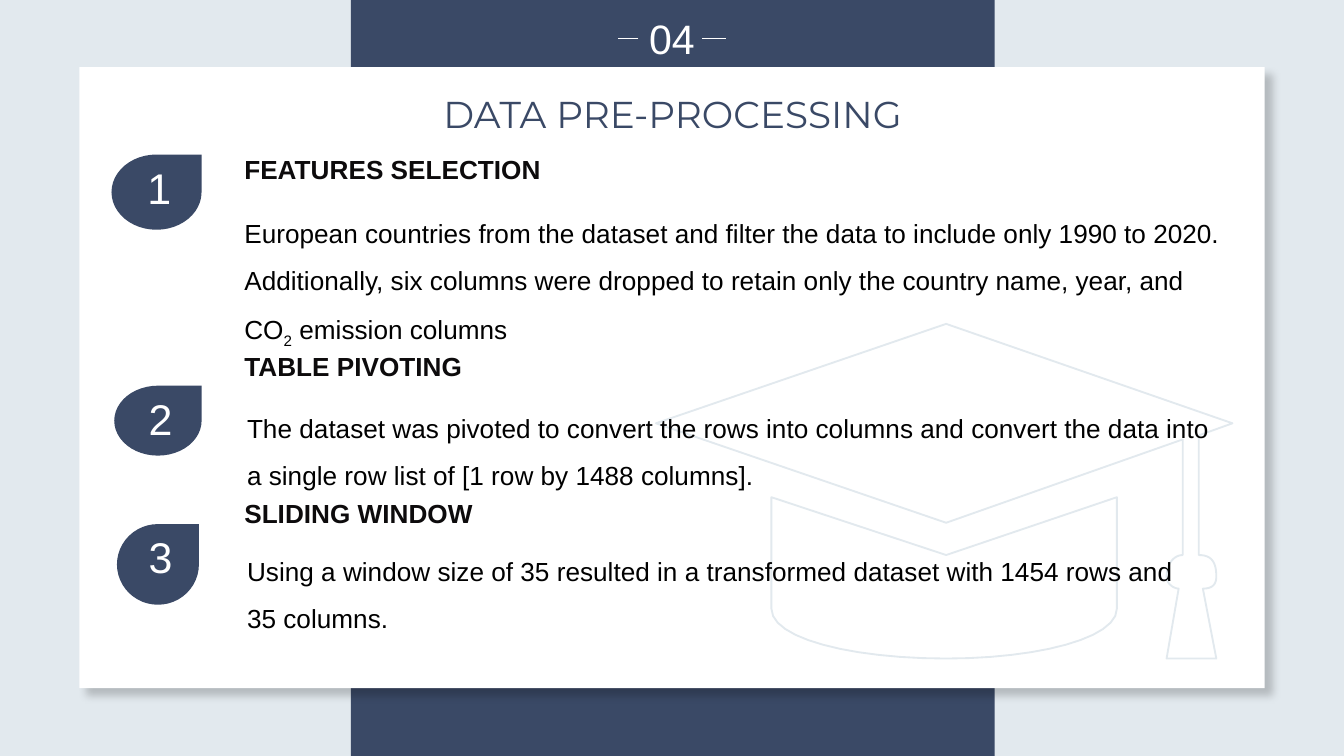
from typing import NamedTuple

from lxml import etree
from pptx import Presentation
from pptx import util as u
from pptx.dml.color import RGBColor
from pptx.enum import shapes, text
from pptx.oxml import ns

PAGE_WIDTH = 10
PAGE_HEIGHT = PAGE_WIDTH * 9 / 16

NAVY = RGBColor(0x3A, 0x49, 0x66)
MIST = RGBColor(0xE2, 0xE9, 0xEE)
WHITE = RGBColor(0xFF, 0xFF, 0xFF)
INK = RGBColor(0x0D, 0x0B, 0x0C)
BLACK = RGBColor(0, 0, 0)

NUMBER = dict(name="Arial", size=u.Pt(23), color=WHITE)
PAGE_NUMBER = dict(name="Arial", size=u.Pt(22), color=WHITE)
TITLE = dict(name="Montserrat", size=u.Pt(20), color=NAVY)
HEADING = dict(name="Arial", size=u.Pt(14), color=INK, bold=True)
BODY = dict(name="Arial", size=u.Pt(14), color=BLACK)

CENTER = text.PP_ALIGN.CENTER
LEFT = text.PP_ALIGN.LEFT


class Area(NamedTuple):
    left: float
    top: float
    width: float
    height: float

    def lengths(self) -> list[u.Length]:
        return [u.Inches(value) for value in self]


class Span(NamedTuple):
    words: str
    subscript: bool = False


class Step(NamedTuple):
    badge: Area
    number_height: float
    heading_area: Area
    body_area: Area
    heading: str
    body: list[Span]


STEPS = [
    Step(Area(0.83, 1.15, 0.67, 0.56), 0.6,
         Area(1.72, 1.09, 5.43, 0.34), Area(1.72, 1.45, 7.54, 1.12),
         "FEATURES SELECTION",
         [Span("European countries from the dataset and filter the data to include only "
               "1990 to 2020. Additionally, six columns were dropped to retain only the "
               "country name, year, and CO"),
          Span("2", subscript=True), Span(" emission columns")]),
    Step(Area(0.85, 2.87, 0.65, 0.52), 0.44,
         Area(1.72, 2.56, 4.84, 0.34), Area(1.74, 2.9, 7.43, 0.76),
         "TABLE PIVOTING",
         [Span("The dataset was pivoted to convert the rows into columns and convert the "
               "data into a single row list of [1 row by 1488 columns].")]),
    Step(Area(0.87, 3.9, 0.61, 0.6), 0.51,
         Area(1.72, 3.65, 4.97, 0.34), Area(1.74, 3.97, 7.33, 0.76),
         "SLIDING WINDOW",
         [Span("Using a window size of 35 resulted in a transformed dataset with 1454 "
               "rows and 35 columns.")]),
]

# Two numbers are a corner; six are the two handles and the end of a curve.
BOARD_AND_TASSEL = [
    (9.05, 4.29), (9.05, 4.19, 9.02, 4.13, 8.92, 4.13), (8.92, 3.24), (9.17, 3.15),
    (7.04, 2.41), (4.88, 3.15), (7.04, 3.89), (8.8, 3.27), (8.8, 4.13),
    (8.74, 4.13, 8.68, 4.19, 8.68, 4.29), (8.68, 4.35, 8.74, 4.38, 8.77, 4.38),
    (8.68, 4.9), (9.05, 4.9), (8.95, 4.38), (9.02, 4.38, 9.05, 4.35, 9.05, 4.29),
]
CAP_BASE = [
    (5.74, 3.7), (5.74, 4.53), (5.74, 4.75, 6.33, 4.9, 7.04, 4.9),
    (7.72, 4.9, 8.31, 4.75, 8.31, 4.53), (8.31, 3.7), (7.04, 4.13), (5.74, 3.7),
]


def add_filled(page, kind, area: Area, color: RGBColor):
    box = page.shapes.add_shape(kind, *area.lengths())
    box.shadow.inherit = False
    box.fill.solid()
    box.fill.fore_color.rgb = color
    box.line.fill.background()
    return box


def add_drop_shadow(box) -> None:
    """Cast a soft shadow to the lower right."""
    effects = box._element.spPr.find(ns.qn("a:effectLst"))
    shadow = etree.SubElement(effects, ns.qn("a:outerShdw"), blurRad=str(u.Pt(4)),
                              dist=str(u.Pt(6)), dir=str(45 * 60000), algn="tl",
                              rotWithShape="0")
    color = etree.SubElement(shadow, ns.qn("a:srgbClr"), val=str(BLACK))
    etree.SubElement(color, ns.qn("a:alpha"), val="20000")


def add_text(page, area: Area, spans: list[Span], style: dict,
             align=LEFT, spacing: float = 1.0) -> None:
    box = page.shapes.add_textbox(*area.lengths())
    box.text_frame.word_wrap = True
    para = box.text_frame.paragraphs[0]
    para.alignment = align
    para.line_spacing = spacing
    for words, subscript in spans:
        span = para.add_run()
        span.text = words
        for key, value in style.items():
            if key == "color":
                span.font.color.rgb = value
            else:
                setattr(span.font, key, value)
        if subscript:
            span.font._element.set("baseline", "-25000")


def add_dash(page, start: float, end: float, height: float) -> None:
    dash = page.shapes.add_connector(shapes.MSO_CONNECTOR.STRAIGHT, u.Inches(start),
                                     u.Inches(height), u.Inches(end), u.Inches(height))
    dash.line.color.rgb = WHITE
    dash.line.width = u.Pt(0.5)
    etree.SubElement(dash._element.spPr, ns.qn("a:effectLst"))


def trace(outline: list[tuple], pieces: int = 12) -> list[tuple]:
    """Turn corners and Bézier curves into a list of points."""
    points = [outline[0]]
    for part in outline[1:]:
        if len(part) == 2:
            points.append(part)
            continue
        knots = [points[-1], part[:2], part[2:4], part[4:]]
        for piece in range(1, pieces + 1):
            t = piece / pieces
            weights = ((1 - t) ** 3, 3 * t * (1 - t) ** 2, 3 * t * t * (1 - t), t ** 3)
            points.append(tuple(sum(weight * knot[axis] for weight, knot in zip(weights, knots))
                                for axis in (0, 1)))
    return [(u.Inches(x), u.Inches(y)) for x, y in points]


def add_graduation_cap(page) -> None:
    board, base = trace(BOARD_AND_TASSEL), trace(CAP_BASE)
    builder = page.shapes.build_freeform(*board[0])
    builder.add_line_segments(board[1:])
    builder.move_to(*base[0])
    builder.add_line_segments(base[1:])
    cap = builder.convert_to_shape()
    cap.shadow.inherit = False
    cap.fill.background()
    cap.line.color.rgb = MIST
    cap.line.width = u.Pt(1)


def add_step(page, number: int, step: Step) -> None:
    badge = step.badge
    add_filled(page, shapes.MSO_SHAPE.TEAR, badge, NAVY)
    add_text(page, Area(badge.left + 0.02, badge.top, badge.width, step.number_height),
             [Span(str(number))], NUMBER, CENTER)
    add_text(page, step.heading_area, [Span(step.heading)], HEADING)
    add_text(page, step.body_area, step.body, BODY, spacing=1.5)


def main() -> None:
    deck = Presentation()
    deck.slide_width, deck.slide_height = u.Inches(PAGE_WIDTH), u.Inches(PAGE_HEIGHT)
    page = deck.slides.add_slide(deck.slide_layouts[6])
    page.background.fill.solid()
    page.background.fill.fore_color.rgb = MIST

    rectangle = shapes.MSO_SHAPE.RECTANGLE
    add_filled(page, rectangle, Area(2.61, 0, 4.79, PAGE_HEIGHT), NAVY)
    add_drop_shadow(add_filled(page, rectangle, Area(0.59, 0.5, 8.82, 4.62), WHITE))
    add_graduation_cap(page)

    for start, end in ((4.75, 4.6), (5.4, 5.22)):
        add_dash(page, start, end, 0.29)
    add_text(page, Area(4.71, 0.05, 0.58, 0.47), [Span("04")], PAGE_NUMBER, CENTER)
    add_text(page, Area(2.59, 0.63, 4.83, 0.44), [Span("DATA PRE-PROCESSING")], TITLE, CENTER)
    for number, step in enumerate(STEPS, 1):
        add_step(page, number, step)
    deck.save("out.pptx")


if __name__ == "__main__":
    main()
